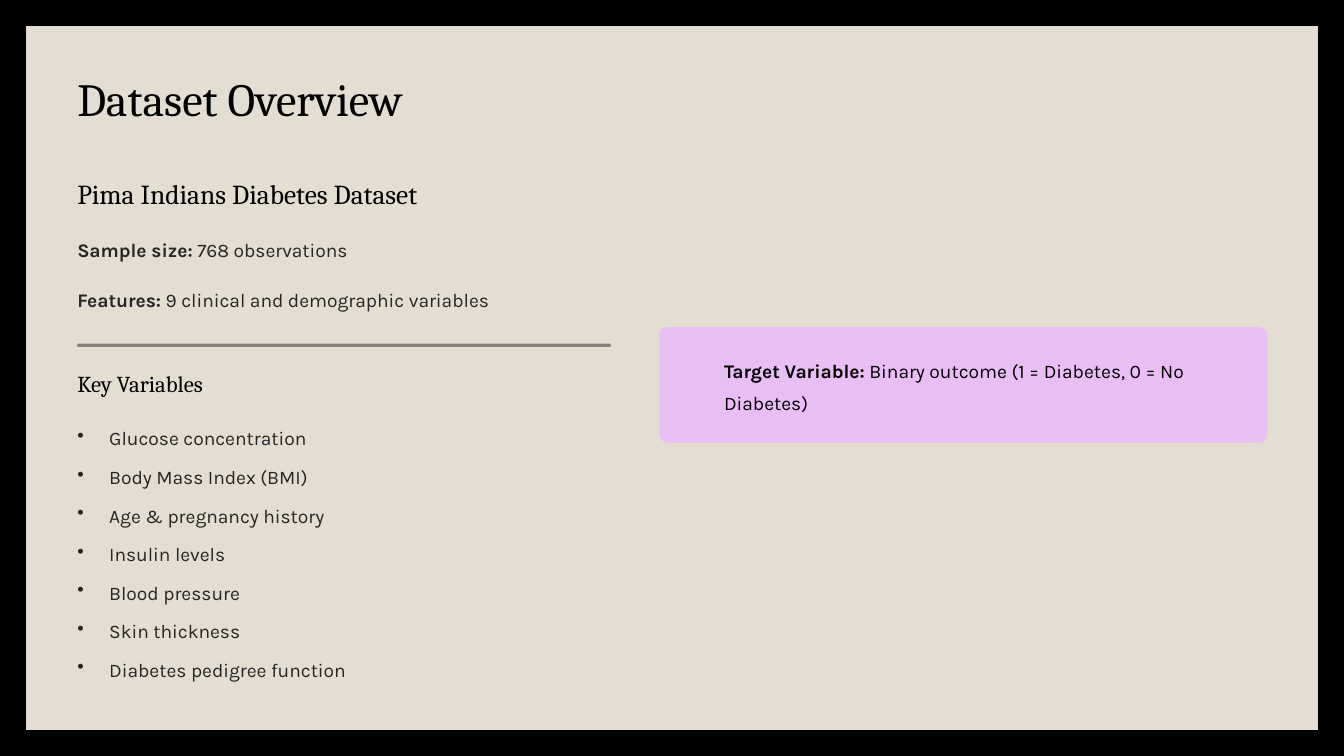
from lxml.etree import SubElement
from pptx import Presentation
from pptx.dml.color import RGBColor
from pptx.enum.shapes import MSO_SHAPE
from pptx.oxml.ns import qn
from pptx.util import Inches, Pt

COLUMN = ROW = Inches(1)
COLUMNS, ROWS = 16, 9
COLORS = {"frame": "000000", "panel": "E3DED1", "heading": "000000",
          "body": "272525", "callout": "E8BEF4"}
HEADING_FONT, BODY_FONT = "Cambria", "Karla"
BODY_SIZE, BODY_LINE, LINE_HEIGHT = 16.5, 27, 0.38
FACTS = [("Sample size:", " 768 observations"),
         ("Features:", " 9 clinical and demographic variables")]
KEY_VARIABLES = ["Glucose concentration", "Body Mass Index (BMI)",
                 "Age & pregnancy history", "Insulin levels", "Blood pressure",
                 "Skin thickness", "Diabetes pedigree function"]


def place(left, top, width, height):
    """Turn grid columns and rows into slide lengths."""
    return [round(length * unit) for length, unit in
            zip((left, top, width, height), (COLUMN, ROW, COLUMN, ROW))]


def add_block(slide, box, color, kind=MSO_SHAPE.RECTANGLE, alpha=None, corner=None):
    """Add a filled shape without outline or shadow."""
    block = slide.shapes.add_shape(kind, *place(*box))
    block.shadow.inherit = False
    block.line.fill.background()
    block.fill.solid()
    block.fill.fore_color.rgb = RGBColor.from_string(COLORS[color])
    if corner is not None:
        block.adjustments[0] = corner
    if alpha is not None:
        shade = block.fill._xPr.find(qn("a:solidFill"))[0]
        SubElement(shade, qn("a:alpha"), val=str(alpha * 1000))


def add_bullet(paragraph, indent):
    """Give a paragraph a hanging bullet."""
    properties = paragraph._p.get_or_add_pPr()
    hang = round(indent * COLUMN)
    properties.set("marL", str(hang))
    properties.set("indent", str(-hang))
    SubElement(properties, qn("a:buChar"), char="•")


def add_text(slide, box, paragraphs, font=BODY_FONT, size=BODY_SIZE, line=BODY_LINE,
             color="body", wrap=False, bullet_indent=None, gap=0):
    """Add paragraphs given as (bold lead, plain rest) pairs."""
    frame = slide.shapes.add_textbox(*place(*box)).text_frame
    frame.word_wrap = wrap
    frame.margin_left = frame.margin_right = frame.margin_top = frame.margin_bottom = 0
    for index, parts in enumerate(paragraphs):
        paragraph = frame.paragraphs[0] if index == 0 else frame.add_paragraph()
        if bullet_indent:
            add_bullet(paragraph, bullet_indent)
        paragraph.line_spacing = Pt(line)
        if index and gap:
            paragraph.space_before = Pt(gap)
        for text, bold in zip(parts, (True, False)):
            if text:
                run = paragraph.add_run()
                run.text = text
                run.font.name, run.font.size, run.font.bold = font, Pt(size), bold
                run.font.color.rgb = RGBColor.from_string(COLORS[color])


def add_heading(slide, box, text, size, line):
    """Add a one-line serif heading."""
    add_text(slide, box, [("", text)], font=HEADING_FONT, size=size, line=line,
             color="heading")


def add_background(slide, box, margin=0.31):
    """Paint the dark frame and the light panel inside it."""
    left, top, width, height = box
    slide.background.fill.solid()
    slide.background.fill.fore_color.rgb = RGBColor.from_string(COLORS["frame"])
    add_block(slide, (left + margin, top + margin, width - 2 * margin,
                      height - 2 * margin), "panel")


def add_dataset_summary(slide, box):
    """Place the dataset name, its facts and the closing rule."""
    left, top, width, height = box
    add_heading(slide, (left, top, 4.87, 0.42), "Pima Indians Diabetes Dataset", 23.5, 29.5)
    for index, fact in enumerate(FACTS):
        add_text(slide, (left, top + 0.65 + 0.59 * index, width, LINE_HEIGHT), [fact])
    add_block(slide, (left, top + height - 0.04, width, 0.04), "body", alpha=50)


def add_key_variables(slide, box):
    """Place the heading and bulleted list of variables."""
    left, top, width, height = box
    add_heading(slide, (left, top, 2.77, 0.35), "Key Variables", 19.5, 24.5)
    add_text(slide, (left, top + 0.59, width, height - 0.59),
             [("", name) for name in KEY_VARIABLES],
             wrap=True, bullet_indent=0.38, gap=6)


def add_target_callout(slide, box):
    """Place the target variable on a rounded card."""
    left, top, width, height = box
    add_block(slide, box, "callout", MSO_SHAPE.ROUNDED_RECTANGLE, corner=0.072)
    add_text(slide, (left + 0.77, top + 0.29, width - 1, 2 * LINE_HEIGHT),
             [("Target Variable:", " Binary outcome (1 = Diabetes, 0 = No Diabetes)")],
             color="heading", wrap=True)


def main():
    """Build and save the dataset overview slide."""
    deck = Presentation()
    deck.slide_width, deck.slide_height = COLUMNS * COLUMN, ROWS * ROW
    slide = deck.slides.add_slide(deck.slide_layouts[6])
    add_background(slide, (0, 0, COLUMNS, ROWS))
    add_heading(slide, (0.92, 0.81, 5.54, 0.69), "Dataset Overview", 39.5, 49.5)
    add_dataset_summary(slide, (0.92, 2.09, 6.35, 2.04))
    add_key_variables(slide, (0.92, 4.39, 6.35, 3.72))
    add_target_callout(slide, (7.85, 3.89, 7.24, 1.38))
    deck.save("out.pptx")


if __name__ == "__main__":
    main()
